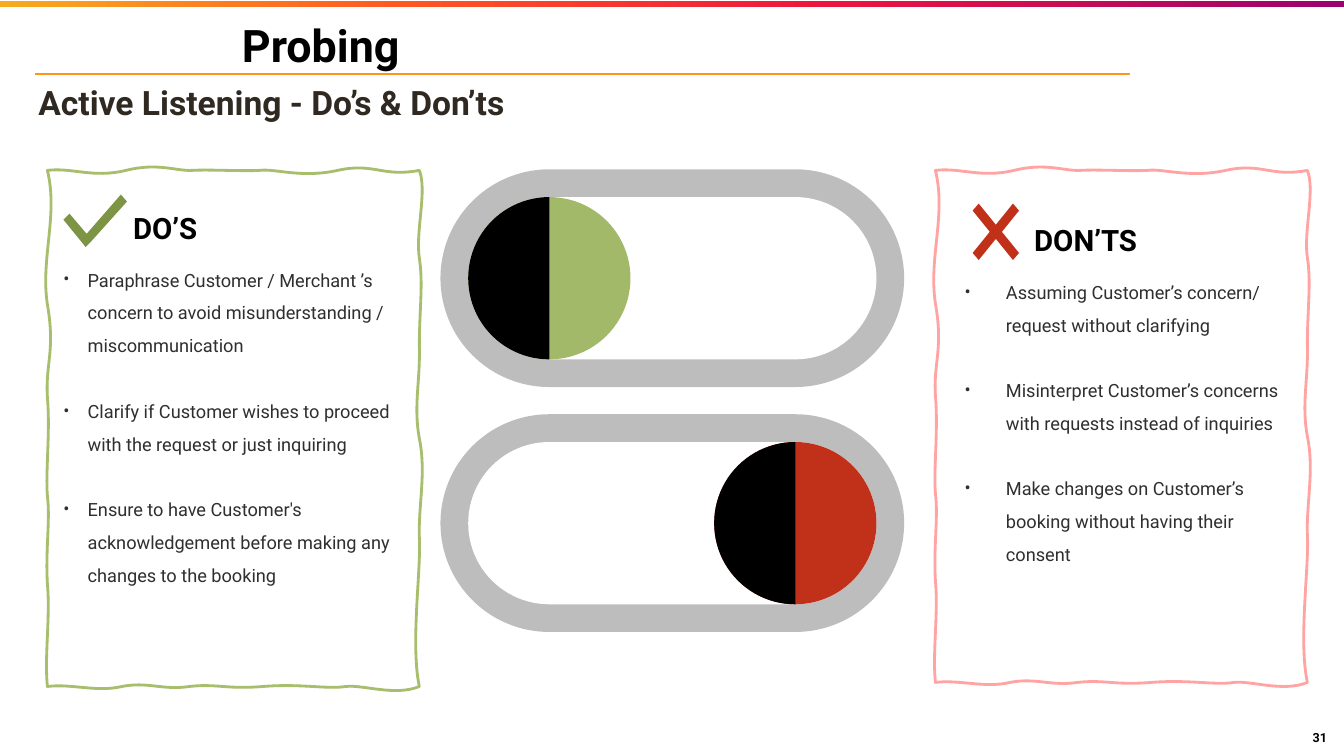
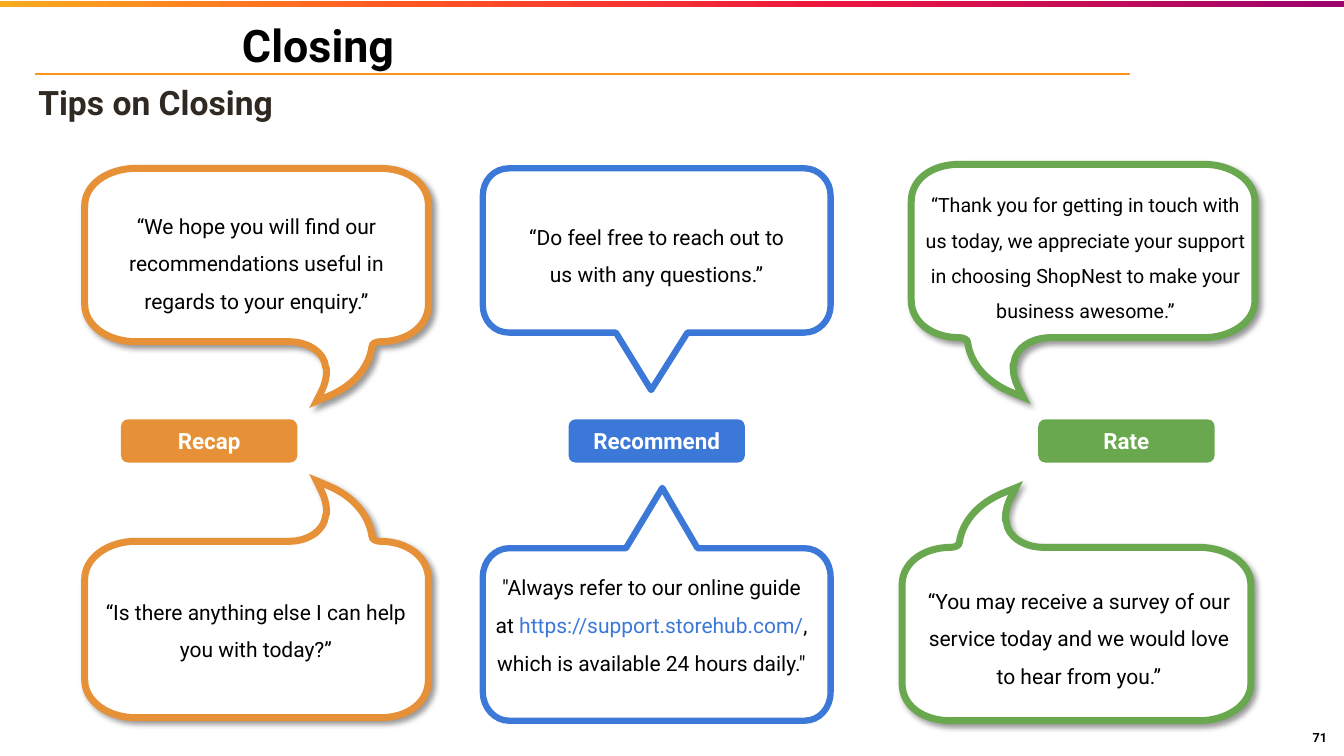
from lxml import etree
from pptx import Presentation
from pptx.dml.color import RGBColor
from pptx.enum import shapes, text
from pptx.oxml.ns import qn
from pptx.util import Inches, Pt

SHAPE, ALIGN, ANCHOR = shapes.MSO_SHAPE, text.PP_ALIGN, text.MSO_ANCHOR
FONT = "Roboto"
WIDTH, HEIGHT = 40 / 3, 7.5
C = {
    "black": "000000", "white": "FFFFFF", "subtitle": "2F2922", "body": "2F2F2F",
    "rule": "FF9419", "track": "BDBDBD", "do": "A2B969", "do_edge": "A7BE6D",
    "tick": "7E9445", "dont": "C13018", "dont_edge": "FFA3A3",
    "orange": "E69138", "blue": "3C78D8", "green": "6AA84F",
}
BAND = [(0, "F7AB1D"), (30, "FF5722"), (62, "EC153F"), (100, "9C036D")]

WAVY_SIZE = (3.69, 5.12)
WAVY = [
    (0, 0),
    (.25, -.03, .45, .08, .78, 0), (1.1, -.08, 1.28, .01, 1.44, 0),
    (1.6, -.01, 1.95, .01, 2.11, 0), (2.26, -.02, 2.52, .08, 2.88, 0),
    (3.24, -.08, 3.32, .07, 3.69, 0), (3.77, .2, 3.65, .61, 3.69, .87),
    (3.73, 1.13, 3.69, 1.38, 3.69, 1.74), (3.7, 2.1, 3.63, 2.33, 3.69, 2.66),
    (3.76, 3, 3.68, 3.32, 3.69, 3.64), (3.71, 3.95, 3.6, 4.7, 3.69, 5.12),
    (3.45, 5.22, 3.13, 5.1, 2.96, 5.12), (2.78, 5.15, 2.52, 5.09, 2.14, 5.12),
    (1.77, 5.15, 1.68, 5.09, 1.41, 5.12), (1.14, 5.16, 1, 5.07, .74, 5.12),
    (.49, 5.18, .24, 5.09, 0, 5.12), (-.03, 4.81, .03, 4.44, 0, 4.1),
    (-.02, 3.75, .03, 3.47, 0, 3.23), (-.02, 2.98, .03, 2.6, 0, 2.25),
    (-.02, 1.91, .08, 1.79, 0, 1.33), (-.07, .87, .11, .45, 0, 0),
]
CURVED_SIZE = (3.41, 2.31)
CURVED = [
    (2.35, 2.21), (2.38, 2.15, 2.4, 2.08, 2.4, 2.01),
    (2.4, 2, 2.4, 1.98, 2.39, 1.97), (2.38, 1.83, 2.22, 1.72, 2.03, 1.72),
    (.51, 1.72), (.23, 1.72, 0, 1.56, 0, 1.35), (0, .37), (0, .16, .23, 0, .51, 0),
    (2.93, 0), (3.21, 0, 3.41, .15, 3.41, .37), (3.41, 1.35),
    (3.41, 1.56, 3.21, 1.72, 2.93, 1.72), (2.89, 1.72, 2.85, 1.74, 2.85, 1.77),
    (2.82, 1.98, 2.66, 2.16, 2.42, 2.26), (2.3, 2.31),
]
POINTED_SIZE = (3.45, 2.2)
POINTED = [
    (.26, 0), (3.19, 0), (3.33, 0, 3.45, .12, 3.45, .27), (3.45, 1.36),
    (3.45, 1.51, 3.33, 1.63, 3.19, 1.63), (2.03, 1.63), (1.67, 2.2), (1.32, 1.63),
    (.26, 1.63), (.11, 1.63, 0, 1.51, 0, 1.36), (0, .27), (0, .12, .11, 0, .26, 0),
]
TICK_SIZE = (.63, .52)
TICK = [(.57, 0), (.23, .39), (.06, .19), (0, .25), (.22, .52), (.28, .46), (.63, .07)]
CROSS_SIZE = (.46, .56)
CROSS = [(.46, .07), (.4, 0), (.23, .21), (.06, 0), (0, .07), (.17, .28), (0, .49),
         (.06, .56), (.23, .35), (.4, .56), (.46, .49), (.29, .28)]


def rgb(name):
    return RGBColor.from_string(C[name])


def inches(values):
    return [Inches(v) for v in values]


def add_bullet(p, indent, hang, color, size):
    pPr = p._p.get_or_add_pPr()
    pPr.set("marL", str(Inches(indent)))
    pPr.set("indent", str(Inches(-hang)))
    tint = etree.SubElement(pPr, qn("a:buClr"))
    etree.SubElement(tint, qn("a:srgbClr"), val=C[color])
    etree.SubElement(pPr, qn("a:buSzPts"), val=str(size * 100))
    etree.SubElement(pPr, qn("a:buFont"), typeface=FONT)
    etree.SubElement(pPr, qn("a:buChar"), char="•")


def write(tf, paras, size=15, color="black", bold=False, align=ALIGN.LEFT,
          anchor=ANCHOR.TOP, inset=(.13, .07, .13, .07), spacing=1, before=0, bullet=None):
    tf.word_wrap = True
    tf.vertical_anchor = anchor
    tf.margin_left, tf.margin_top, tf.margin_right, tf.margin_bottom = inches(inset)
    for i, runs in enumerate(paras if isinstance(paras, list) else [paras]):
        p = tf.add_paragraph() if i else tf.paragraphs[0]
        if bullet:
            add_bullet(p, *bullet, color, size)
        p.alignment, p.line_spacing = align, spacing
        p.space_before = Pt(before if i else 0)
        for words, tone in [(runs, color)] if isinstance(runs, str) else runs:
            r = p.add_run()
            r.text = words
            r.font.name, r.font.size, r.font.bold = FONT, Pt(size), bold
            r.font.color.rgb = rgb(tone)


def label(s, box, paras, **fmt):
    write(s.shapes.add_textbox(*inches(box)).text_frame, paras, **fmt)


def paint(sp, fill=None, line=None, width=1):
    sp.shadow.inherit = False
    if fill:
        sp.fill.solid()
        sp.fill.fore_color.rgb = rgb(fill)
    else:
        sp.fill.background()
    if line:
        sp.line.color.rgb = rgb(line)
        sp.line.width = Pt(width)
    else:
        sp.line.fill.background()
    return sp


def preset(s, kind, box, fill, adj=()):
    sp = s.shapes.add_shape(kind, *inches(box))
    for i, value in enumerate(adj):
        sp.adjustments[i] = value
    return paint(sp, fill)


def freeform(s, outline, size, box, flip_x=False, flip_y=False, **look):
    x, y, w, h = box

    def place(px, py):
        fx, fy = px / size[0], py / size[1]
        return (Inches(x + w * (1 - fx if flip_x else fx)),
                Inches(y + h * (1 - fy if flip_y else fy)))

    ends = [place(*seg[-2:]) for seg in outline]
    fb = s.shapes.build_freeform(*ends[0], scale=1.0)
    fb.add_line_segments(ends[1:], close=True)
    sp = fb.convert_to_shape()
    lines = list(sp._element.spPr.iter(qn("a:lnTo")))
    for seg, line in zip(outline[1:], lines):
        if len(seg) == 6:
            line.tag = qn("a:cubicBezTo")
            for k in (2, 0):
                cx, cy = place(*seg[k:k + 2])
                pt = etree.Element(qn("a:pt"), x=str(cx - sp.left), y=str(cy - sp.top))
                line.insert(0, pt)
    return paint(sp, **look)


def frame(prs, title, subtitle, number):
    s = prs.slides.add_slide(prs.slide_layouts[5])
    rule = s.shapes.add_connector(shapes.MSO_CONNECTOR.STRAIGHT,
                                  *inches((.35, .73, 12.84, .73)))
    rule.line.color.rgb = rgb("rule")
    rule.line.width = Pt(1.5)
    etree.SubElement(rule._element.spPr, qn("a:effectLst"))
    preset(s, SHAPE.RECTANGLE, (11.21, .28, 1.77, 1.05), "white")

    band = preset(s, SHAPE.RECTANGLE, (0, .01, WIDTH, .06), "rule")
    band.fill.gradient()
    band.fill.gradient_angle = 0
    stops = band._element.spPr.find(".//" + qn("a:gsLst"))
    for gs in list(stops):
        stops.remove(gs)
    for pos, color in BAND:
        gs = etree.SubElement(stops, qn("a:gs"), pos=str(pos * 1000))
        etree.SubElement(gs, qn("a:srgbClr"), val=color)

    t = s.shapes.title
    t.left, t.top, t.width, t.height = inches((2.37, .06, 8.46, .77))
    thin = (.03,) * 4
    write(t.text_frame, title, size=32, bold=True, anchor=ANCHOR.MIDDLE, inset=thin)
    label(s, (.35, .81, 10.78, .4), subtitle, size=24, color="subtitle", bold=True,
          anchor=ANCHOR.MIDDLE, inset=thin)
    label(s, (12.86, 7.15, .47, .34), number, size=9, bold=True, align=ALIGN.CENTER,
          anchor=ANCHOR.MIDDLE, inset=(0,) * 4)
    return s


def toggle(s, box, color, on_right=False):
    x, y, w, h = box
    rim = .275
    d = h - 2 * rim
    preset(s, SHAPE.ROUNDED_RECTANGLE, box, "track", [.5])
    preset(s, SHAPE.ROUNDED_RECTANGLE, (x + rim, y + rim, w - 2 * rim, d), "white", [.5])
    knob = (x + w - rim - d if on_right else x + rim, y + rim, d, d)
    preset(s, SHAPE.OVAL, knob, color)
    preset(s, SHAPE.CHORD, knob, "black", [54, 162])


def panel(s, box, edge, offset, list_width, heading, items, bullet):
    freeform(s, WAVY, WAVY_SIZE, box, line=edge, width=2)
    x, y = box[0] + offset[0], box[1] + offset[1]
    label(s, (x, y, 3.2, .61), heading, size=21, bold=True, anchor=ANCHOR.BOTTOM,
          inset=(.7, .07, 0, .07), spacing=1.5)
    label(s, (x, y + .6, list_width, 3.46), items, size=13, color="body",
          inset=(0, .07, 0, .07), spacing=1.5, before=23.4, bullet=bullet)


def curved_bubble(s, box, color, **flip):
    sp = freeform(s, CURVED, CURVED_SIZE, box, fill="white", line=color, width=5, **flip)
    etree.SubElement(sp.line._get_or_add_ln(), qn("a:miter"), lim="800000")
    effects = sp._element.spPr.find(qn("a:effectLst"))
    shadow = etree.SubElement(effects, qn("a:outerShdw"), blurRad=str(Pt(4)),
                              dist=str(Pt(3)), dir="2700000", algn="tl", rotWithShape="0")
    tint = etree.SubElement(shadow, qn("a:srgbClr"), val=C["black"])
    etree.SubElement(tint, qn("a:alpha"), val="40000")


def pointed_bubble(s, box, color, **flip):
    freeform(s, POINTED, POINTED_SIZE, box, fill="white", line=color, width=4.5, **flip)


def quote(s, box, words, size=15):
    label(s, box, [words], size=size, align=ALIGN.CENTER, spacing=1.5)


def tag(s, x, words, color):
    sp = preset(s, SHAPE.ROUNDED_RECTANGLE, (x, 4.16, 1.75, .43), color, [.167])
    write(sp.text_frame, words, size=16, color="white", bold=True,
          align=ALIGN.CENTER, anchor=ANCHOR.MIDDLE)


def probing(prs):
    s = frame(prs, "Probing", "Active Listening - Do’s & Don’ts", "31")
    toggle(s, (4.37, 1.68, 4.6, 2.16), "do")
    toggle(s, (4.37, 4.11, 4.6, 2.16), "dont", on_right=True)
    panel(s, (.47, 1.69, 3.69, 5.12), "do_edge", (.15, .2), 3.47, "DO’S", [
        "Paraphrase Customer / Merchant ’s concern to avoid misunderstanding / miscommunication",
        "Clarify if Customer wishes to proceed with the request or just inquiring",
        "Ensure to have Customer's acknowledgement before making any changes to the booking",
    ], (.25, .24))
    freeform(s, TICK, TICK_SIZE, (.63, 1.93, .63, .52), fill="tick")
    panel(s, (9.28, 1.69, 3.69, 5.08), "dont_edge", (.28, .32), 3.2, "DON’TS", [
        "Assuming Customer’s concern/ request without clarifying",
        "Misinterpret Customer’s concerns with requests instead of inquiries",
        "Make changes on Customer’s booking without having their consent",
    ], (.42, .41))
    freeform(s, CROSS, CROSS_SIZE, (9.65, 2.02, .46, .56), fill="dont")


def closing(prs):
    s = frame(prs, "Closing", "Tips on Closing", "71")
    curved_bubble(s, (.84, 1.67, 3.41, 2.31), "orange")
    quote(s, (1.04, 1.92, 3.01, 1.52),
          "“We hope you will find our recommendations useful in regards to your enquiry.”")
    tag(s, 1.2, "Recap", "orange")
    curved_bubble(s, (.84, 4.77, 3.41, 2.35), "orange", flip_y=True)
    quote(s, (.91, 5.75, 3.26, 1.14), "“Is there anything else I can help you with today?”")

    pointed_bubble(s, (4.79, 1.67, 3.45, 2.2), "blue")
    quote(s, (5.01, 2.03, 3.01, .77), "“Do feel free to reach out to us with any questions.”")
    tag(s, 5.64, "Recommend", "blue")
    pointed_bubble(s, (4.79, 4.84, 3.45, 2.31), "blue", flip_x=True, flip_y=True)
    quote(s, (4.78, 5.51, 3.37, 1.14), [
        ("\"Always refer to our online guide at ", "black"),
        ("https://support.storehub.com/", "blue"),
        (", which is available 24 hours daily.\"", "black"),
    ])

    curved_bubble(s, (9.04, 1.63, 3.41, 2.31), "green", flip_x=True)
    quote(s, (9.04, 1.73, 3.46, 1.78),
          "“Thank you for getting in touch with us today, we appreciate your support "
          "in choosing ShopNest to make your business awesome.”", size=14)
    tag(s, 10.3, "Rate", "green")
    curved_bubble(s, (8.95, 4.84, 3.46, 2.31), "green", flip_x=True, flip_y=True)
    quote(s, (8.98, 5.64, 3.45, 1.52),
          "“You may receive a survey of our service today and we would love to hear from you.”")


def main():
    prs = Presentation()
    prs.slide_width, prs.slide_height = inches((WIDTH, HEIGHT))
    probing(prs)
    closing(prs)
    prs.save("out.pptx")


if __name__ == "__main__":
    main()
